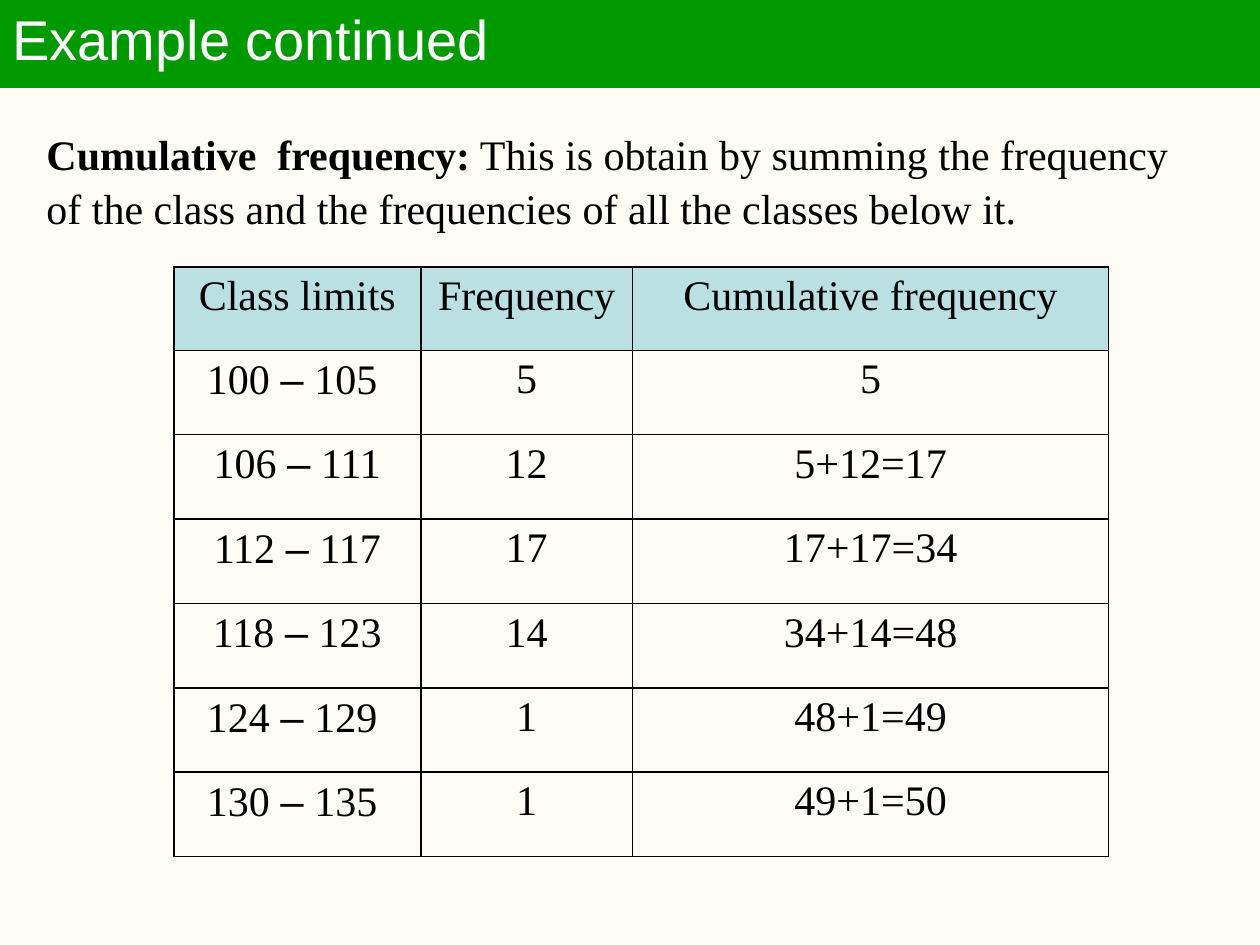
"""Build the cumulative frequency example slide."""
import pptx
import pptx.dml.color
import pptx.enum.shapes
import pptx.enum.text
import pptx.oxml
import pptx.oxml.ns
import pptx.util

Inches = pptx.util.Inches
Pt = pptx.util.Pt
RGBColor = pptx.dml.color.RGBColor

CREAM = RGBColor(0xFF, 0xFC, 0xF7)
GREEN = RGBColor(0x00, 0x99, 0x00)
PALE_TEAL = RGBColor(0xBB, 0xE0, 0xE3)
BLACK = RGBColor(0x00, 0x00, 0x00)
WHITE = RGBColor(0xFF, 0xFF, 0xFF)

BODY_FONT = {"name": "Times New Roman", "size": Pt(24), "bold": False}
TITLE_FONT = {"name": "Arial", "size": Pt(32), "bold": False}

COLUMN_WIDTHS = [1.96, 1.68, 3.78]
HEADER_HEIGHT = 0.66
ROW_HEIGHT = 0.67
FREQUENCY_ROWS = [
    ("Class limits", "Frequency", "Cumulative frequency"),
    ("100 – 105 ", "5", "5"),
    ("106 – 111", "12", "5+12=17"),
    ("112 – 117", "17", "17+17=34"),
    ("118 – 123", "14", "34+14=48"),
    ("124 – 129 ", "1", "48+1=49"),
    ("130 – 135 ", "1", "49+1=50"),
]


def add_run(paragraph, text, color, formats):
    """Append a run whose font takes the given format values."""
    run = paragraph.add_run()
    run.text = text
    for name, value in formats.items():
        setattr(run.font, name, value)
    run.font.color.rgb = color


def add_title_band(slide, text):
    """Draw the green band that carries the slide title."""
    shape = slide.shapes.add_shape(
        pptx.enum.shapes.MSO_SHAPE.RECTANGLE,
        Inches(0), Inches(-0.02), Inches(10), Inches(0.71))
    shape.shadow.inherit = False
    shape.fill.solid()
    shape.fill.fore_color.rgb = GREEN
    shape.line.color.rgb = GREEN
    shape.line.width = Pt(0.75)
    shape.text_frame.vertical_anchor = pptx.enum.text.MSO_ANCHOR.MIDDLE
    paragraph = shape.text_frame.paragraphs[0]
    paragraph.alignment = pptx.enum.text.PP_ALIGN.LEFT
    paragraph.line_spacing = 0.9
    add_run(paragraph, text, WHITE, TITLE_FONT)


def add_definition(slide, term, meaning):
    """Write a bold term followed by its meaning."""
    shape = slide.shapes.add_textbox(
        Inches(0.27), Inches(0.95), Inches(9.31), Inches(0.91))
    shape.text_frame.word_wrap = True
    paragraph = shape.text_frame.paragraphs[0]
    paragraph.line_spacing = 1.06
    add_run(paragraph, term, BLACK, {**BODY_FONT, "bold": True})
    add_run(paragraph, meaning, BLACK, BODY_FONT)


def set_borders(cell):
    """Give a cell a thin black border on all four sides."""
    properties = cell._tc.get_or_add_tcPr()
    for position, side in enumerate(("lnL", "lnR", "lnT", "lnB")):
        border = pptx.oxml.parse_xml(
            f'<a:{side} {pptx.oxml.ns.nsdecls("a")} w="{Pt(1)}">'
            f'<a:solidFill><a:srgbClr val="{BLACK}"/></a:solidFill></a:{side}>')
        properties.insert(position, border)


def fill_cell(cell, text, is_header):
    """Write centred text into a cell, with any dash in Arial."""
    if is_header:
        cell.fill.solid()
        cell.fill.fore_color.rgb = PALE_TEAL
    else:
        cell.fill.background()
    set_borders(cell)
    paragraph = cell.text_frame.paragraphs[0]
    paragraph.alignment = pptx.enum.text.PP_ALIGN.CENTER
    before, dash, after = text.partition("–")
    add_run(paragraph, before, BLACK, BODY_FONT)
    if dash:
        add_run(paragraph, dash, BLACK, {**BODY_FONT, "name": "Arial"})
        add_run(paragraph, after, BLACK, BODY_FONT)


def add_frequency_table(slide, rows):
    """Add the table of class limits and frequencies."""
    height = HEADER_HEIGHT + ROW_HEIGHT * (len(rows) - 1)
    table = slide.shapes.add_table(
        len(rows), len(COLUMN_WIDTHS), Inches(1.38), Inches(2.12),
        Inches(sum(COLUMN_WIDTHS)), Inches(height)).table
    table.horz_banding = False
    for column, width in zip(table.columns, COLUMN_WIDTHS):
        column.width = Inches(width)
    for row_index, texts in enumerate(rows):
        is_header = row_index == 0
        table.rows[row_index].height = Inches(HEADER_HEIGHT if is_header else ROW_HEIGHT)
        for column_index, text in enumerate(texts):
            fill_cell(table.cell(row_index, column_index), text, is_header)


def main():
    """Assemble and save the slide."""
    presentation = pptx.Presentation()
    presentation.slide_width = Inches(10)
    presentation.slide_height = Inches(7.5)
    slide = presentation.slides.add_slide(presentation.slide_layouts[6])
    slide.background.fill.solid()
    slide.background.fill.fore_color.rgb = CREAM
    add_definition(
        slide, "Cumulative  frequency:",
        " This is obtain by summing the frequency of the class"
        " and the frequencies of all the classes below it.")
    add_frequency_table(slide, FREQUENCY_ROWS)
    add_title_band(slide, "Example continued")
    presentation.save("out.pptx")


if __name__ == "__main__":
    main()
